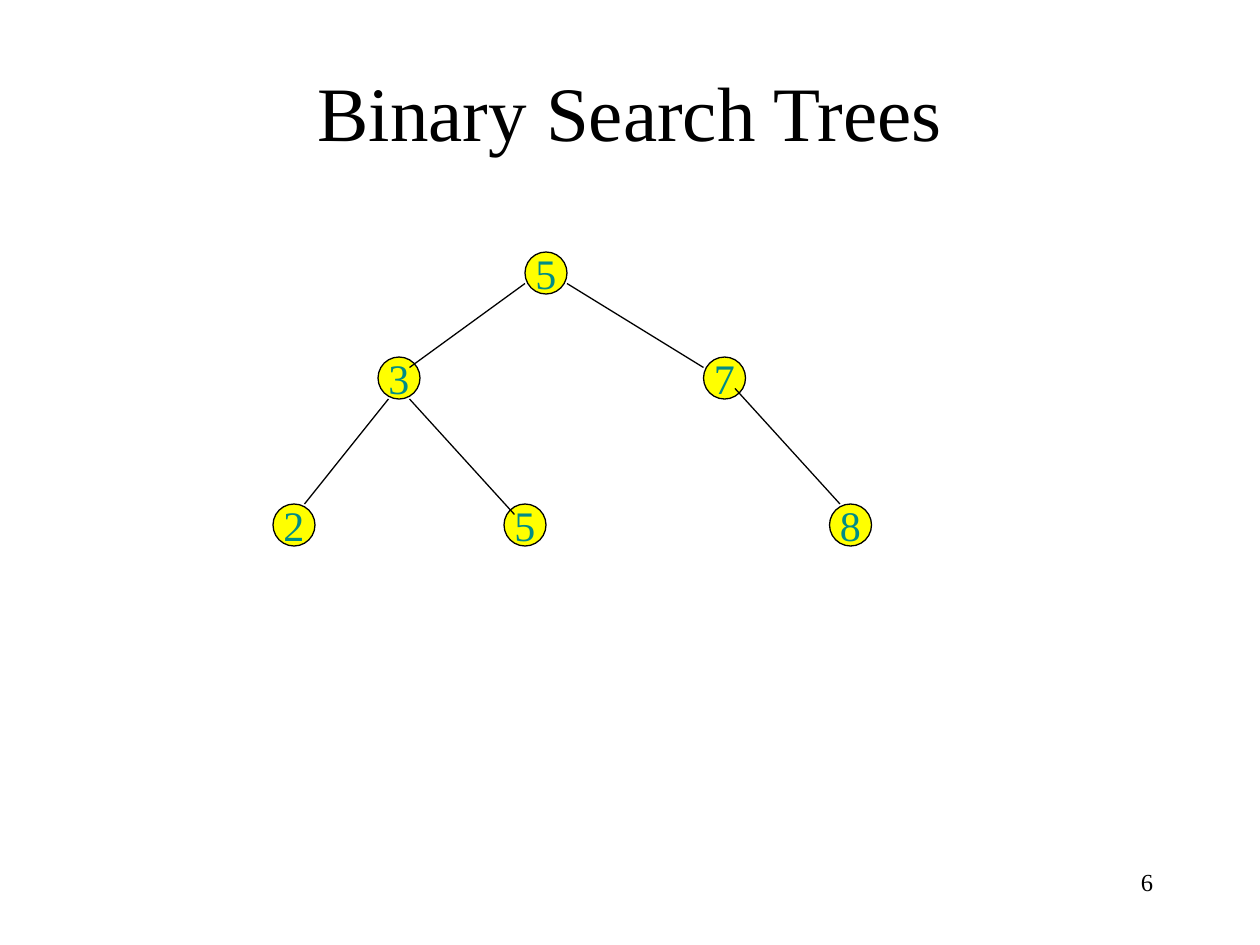
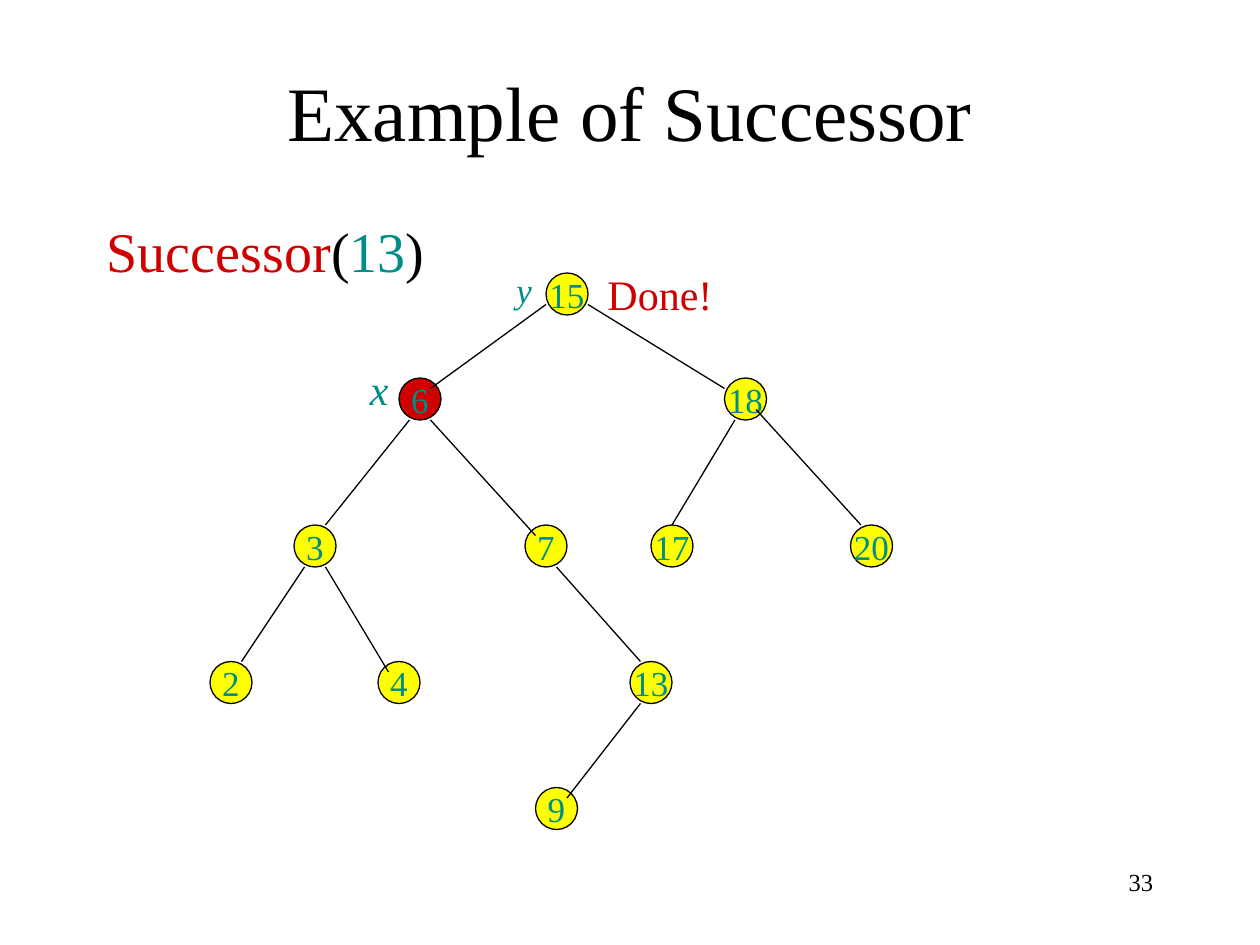
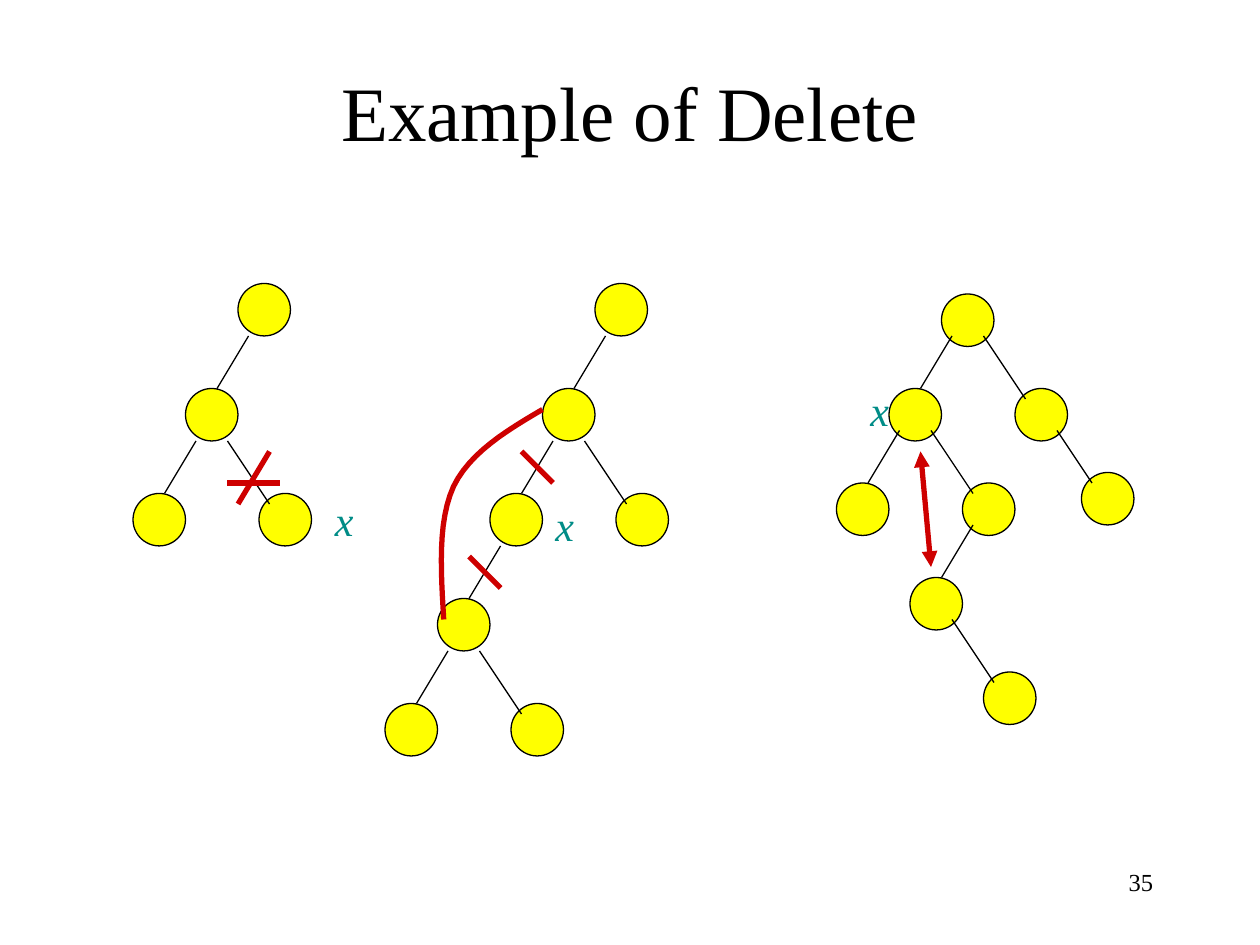
from dataclasses import dataclass
from lxml.etree import SubElement as Sub
from pptx import Presentation
from pptx.dml.color import RGBColor as Rgb
from pptx.enum.shapes import MSO_CONNECTOR as Conn, MSO_SHAPE as Kind
from pptx.enum.text import MSO_ANCHOR as Anchor, MSO_AUTO_SIZE as Auto, PP_ALIGN as Align
from pptx.oxml.ns import qn
from pptx.util import Inches, Pt


@dataclass(frozen=True)
class Theme:
    font: str = "Times New Roman"
    ink: str = "000000"
    teal: str = "008C87"
    red: str = "CE0000"
    gold: str = "FFFF00"
    title: int = 44
    body: int = 32
    label: int = 24
    small: int = 20
    page: int = 14
    thin: float = 0.75
    thick: float = 3


T = Theme()
WIDE, HIGH = Inches(10), Inches(7.5)
COLS, ROWS = 120, 90
CELL = WIDE / COLS

# node: label, column, row, parent, (leave, reach) where the branch departs from the side rule
SLIDES = [
    dict(
        title="Binary Search Trees", page="6",
        trees=[dict(at=(0, 0), size=4, drop=4, type=T.label, nodes=[
            ("5", 50, 24, None),
            ("3", 36, 34, 0, (0, 3), (3, 1)),
            ("7", 67, 34, 0, (4, 3), (0, 1)),
            ("2", 26, 48, 1),
            ("5", 48, 48, 1),
            ("8", 79, 48, 2, (3, 3), (1, 0)),
        ])],
    ),
    dict(
        title="Example of Successor", page="33",
        body=[("Successor", T.red), ("(", T.ink), ("13", T.teal), (")", T.ink)],
        trees=[dict(at=(0, 0), size=4, drop=4, type=T.small, hot="6", nodes=[
            ("15", 52, 26, None),
            ("6", 38, 36, 0, (0, 3), (3, 1)),
            ("18", 69, 36, 0, (4, 3), (0, 1)),
            ("3", 28, 50, 1),
            ("7", 50, 50, 1),
            ("17", 62, 50, 2, (1, 4), (2, 0)),
            ("20", 81, 50, 2, (3, 3), (1, 0)),
            ("2", 20, 63, 3),
            ("4", 36, 63, 3),
            ("13", 60, 63, 4, (3, 4), (1, 0)),
            ("9", 51, 75, 9, (1, 4), (3, 1)),
        ], notes=[
            ("y", 48, 25, 3.8, T.small, T.teal, True),
            ("x", 34, 34, 4.2, T.label, T.teal, True),
            ("Done!", 56.67, 25, 12.4, T.label, T.red, False),
        ])],
    ),
    dict(
        title="Example of Delete", page="35",
        trees=[
            dict(at=(12.67, 27), size=5, drop=5, nodes=[
                ("", 10, 0, None), ("", 5, 10, 0), ("", 0, 20, 1), ("", 12, 20, 1),
            ], notes=[("x", 18, 19.5, 4.2, T.label, T.teal, True)],
                cuts=[((13, 16), (10, 21)), ((9, 19), (14, 19))]),
            dict(at=(36.67, 27), size=5, drop=5, nodes=[
                ("", 20, 0, None), ("", 15, 10, 0), ("", 10, 20, 1), ("", 22, 20, 1),
                ("", 5, 30, 2), ("", 0, 40, 4), ("", 12, 40, 4),
            ], notes=[("x", 15, 20, 4.2, T.label, T.teal, True)],
                cuts=[((13, 16), (16, 19)), ((8, 26), (11, 29))],
                curve=[(5.6, 32), (5.33, 27.4), (5, 22.7), (6.53, 19.33),
                       (8.1, 16.1), (11.6, 14), (15, 12)]),
            dict(at=(79.67, 28), size=5, drop=4, nodes=[
                ("", 10, 0, None), ("", 5, 9, 0), ("", 17, 9, 0), ("", 0, 18, 1),
                ("", 12, 18, 1), ("", 23.33, 17, 2), ("", 7, 27, 4), ("", 14, 36, 6),
            ], notes=[("x", 2, 8, 4.2, T.label, T.teal, True)],
                swap=((8, 15), (9, 26))),
        ],
    ),
]


def put(item, **vals):
    for name, val in vals.items():
        setattr(item, name, val)


def grid(*vals):
    return [round(val * CELL) for val in vals]


def move(base, step):
    return base[0] + step[0], base[1] + step[1]


def write(shape, runs, size, align=Align.LEFT, italic=False, **frame):
    put(shape.text_frame, **frame)
    para = shape.text_frame.paragraphs[0]
    para.alignment = align
    for text, tint in runs:
        run = para.add_run()
        run.text = text
        put(run.font, name=T.font, size=Pt(size), italic=italic)
        run.font.color.rgb = Rgb.from_string(tint)


def pen(shape, tint, width):
    shape.line.color.rgb = Rgb.from_string(tint)
    shape.line.width = Pt(width)


def link(shapes, start, end, tint=T.ink, width=T.thin, heads=()):
    line = shapes.add_connector(Conn.STRAIGHT, *grid(*start, *end))
    pen(line, tint, width)
    for head in heads:
        Sub(line.line._get_or_add_ln(), qn(head), type="triangle")
    Sub(line._element.spPr, qn("a:effectLst"))


def bend(shapes, base, knots):
    dots = []
    for first in range(0, len(knots) - 1, 3):
        a, b, c, d = knots[first:first + 4]
        for step in range(13):
            t = step / 12
            spot = [(1 - t) ** 3 * p + 3 * t * (1 - t) ** 2 * q + 3 * t * t * (1 - t) * r + t ** 3 * s
                    for p, q, r, s in zip(a, b, c, d)]
            dots.append(tuple(grid(*move(base, spot))))
    path = shapes.build_freeform(*dots[0])
    path.add_line_segments(dots[1:], close=False)
    curve = path.convert_to_shape()
    curve.fill.background()
    curve.shadow.inherit = False
    pen(curve, T.red, T.thick)


def grow(shapes, tree):
    base, size, nodes = tree["at"], tree["size"], tree["nodes"]
    for label, col, row, *_ in nodes:
        disc = shapes.add_shape(Kind.OVAL, *grid(*move(base, (col, row)), size, size))
        disc.shadow.inherit = False
        disc.fill.solid()
        disc.fill.fore_color.rgb = Rgb.from_string(T.red if label and label == tree.get("hot") else T.gold)
        pen(disc, T.ink, T.thin)
        if label:
            write(disc, [(label, T.teal)], tree["type"], Align.CENTER,
                  word_wrap=False, vertical_anchor=Anchor.MIDDLE)
    for _, col, row, top, *ports in nodes:
        if top is None:
            continue
        spot = nodes[top][1:3]
        left = [(1, tree["drop"]), (3, 0)]
        right = [(size - 1, tree["drop"]), (1, 1)]
        leave, reach = ports or (left if col < spot[0] else right)
        link(shapes, move(base, move(spot, leave)), move(base, move((col, row), reach)))
    for text, col, row, wide, size, tint, slant in tree.get("notes", []):
        box = shapes.add_textbox(*grid(*move(base, (col, row)), wide, size / 4))
        write(box, [(text, tint)], size, Align.CENTER if slant else Align.LEFT, slant,
              word_wrap=False, auto_size=Auto.SHAPE_TO_FIT_TEXT)
    for start, end in tree.get("cuts", []):
        link(shapes, move(base, start), move(base, end), T.red, T.thick)
    if "curve" in tree:
        bend(shapes, base, tree["curve"])
    if "swap" in tree:
        start, end = tree["swap"]
        link(shapes, move(base, start), move(base, end), T.red, T.thick, ("a:headEnd", "a:tailEnd"))


def build(deck, data):
    shapes = deck.slides.add_slide(deck.slide_layouts[6]).shapes
    page = shapes.add_textbox(*grid(86, 82, 25, 6))
    write(page, [(data["page"], T.ink)], T.page, Align.RIGHT, word_wrap=True)
    title = shapes.add_textbox(*grid(9, 3, 102, 15))
    write(title, [(data["title"], T.ink)], T.title, Align.CENTER,
          word_wrap=True, vertical_anchor=Anchor.MIDDLE)
    if "body" in data:
        write(shapes.add_textbox(*grid(9, 20, 102, 60)), data["body"], T.body, word_wrap=True)
    for tree in data["trees"]:
        grow(shapes.add_group_shape().shapes, tree)


def main():
    deck = Presentation()
    put(deck, slide_width=WIDE, slide_height=HIGH)
    for data in SLIDES:
        build(deck, data)
    deck.save("out.pptx")


if __name__ == "__main__":
    main()
